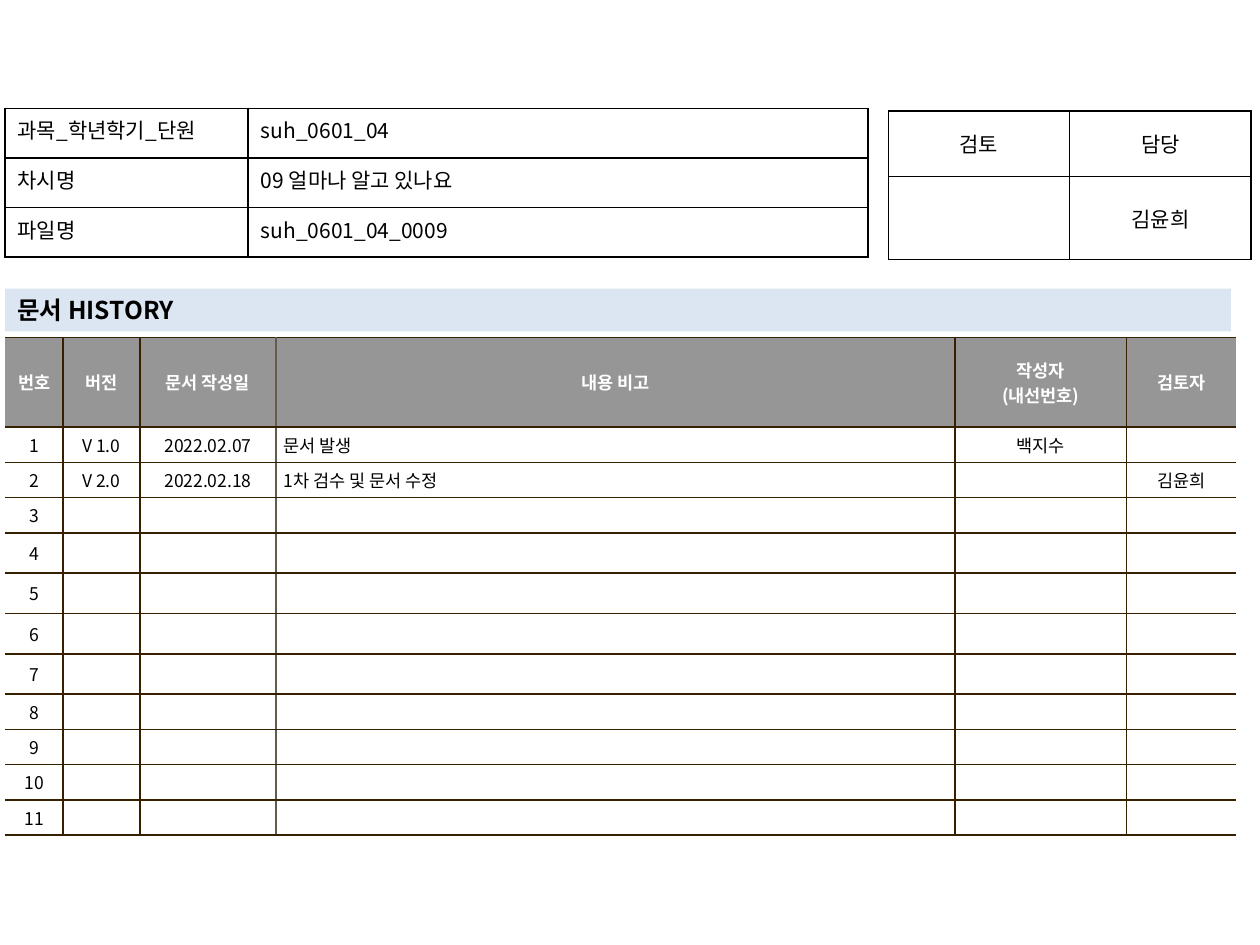
from lxml.etree import SubElement
from pptx import Presentation
from pptx.dml.color import RGBColor
from pptx.enum.shapes import MSO_SHAPE as Shape
from pptx.enum.text import MSO_ANCHOR as Anchor, PP_ALIGN as Align
from pptx.oxml import parse_xml
from pptx.oxml.ns import nsdecls, qn
from pptx.util import Inches, Pt

FONT = "Noto Sans CJK KR"
COLORS = {
    "black": "000000",
    "white": "FFFFFF",
    "header": "969696",
    "title": "DCE6F2",
    "brown": "362000",
    "taupe": "645B4C",
}
UNITS_PER_INCH = 100  # the slide is a grid of 1000 columns by 750 rows

DOCUMENT_ROWS = [
    ("과목_학년학기_단원", "suh_0601_04"),
    ("차시명", "09 얼마나 알고 있나요"),
    ("파일명", "suh_0601_04_0009"),
]
REVIEW_ROWS = [("검토", "담당"), ("", "김윤희")]
HISTORY_HEADER = ("번호", "버전", "문서 작성일", "내용 비고", "작성자\n(내선번호)", "검토자")
HISTORY_ENTRIES = [
    ("V 1.0", "2022.02.07", "문서 발생", "백지수", ""),
    ("V 2.0", "2022.02.18", "1차 검수 및 문서 수정", "", "김윤희"),
]
ENTRY_COUNT = 11
NOTE_COLUMN = 3
TALL_ENTRIES = range(4, 8)


def grid(units):
    return Inches(units / UNITS_PER_INCH)


def rgb(color):
    return RGBColor.from_string(COLORS[color])


def set_attributes(target, values):
    for name, value in values.items():
        setattr(target, name, value)


def format_text(text_frame, size, color="black", bold=False, align=Align.LEFT):
    for paragraph in text_frame.paragraphs:
        paragraph.alignment = align
        for run in paragraph.runs:
            set_attributes(run.font, {"name": FONT, "size": Pt(size), "bold": bold})
            run.font.color.rgb = rgb(color)
            SubElement(run.font._element, qn("a:ea"), typeface=FONT)
        if not paragraph.runs:
            # The size of an empty paragraph sets the least height of its row.
            SubElement(paragraph._p, qn("a:endParaRPr"), sz=str(size * 100))


def set_borders(cell, colors):
    """Draw the left, right, top and bottom edges; None leaves an edge open."""
    properties = cell._tc.get_or_add_tcPr()
    for position, (side, color) in enumerate(zip("LRTB", colors)):
        fill = (f'<a:solidFill><a:srgbClr val="{COLORS[color]}"/></a:solidFill>'
                if color else "<a:noFill/>")
        line = f'<a:ln{side} {nsdecls("a")} w="{Pt(1)}">{fill}</a:ln{side}>'
        properties.insert(position, parse_xml(line))


def add_grid_table(slide, left, top, columns, rows):
    frame = slide.shapes.add_table(len(rows), len(columns), grid(left), grid(top),
                                   grid(sum(columns)), grid(sum(rows)))
    table = frame.table
    set_attributes(table, {"first_row": False, "horz_banding": False})
    for column, width in zip(table.columns, columns):
        column.width = grid(width)
    for row, height in zip(table.rows, rows):
        row.height = grid(height)
    return table


def fill_cell(cell, text, cell_format, text_format, borders, fill=None):
    cell.text = text
    set_attributes(cell, cell_format)
    format_text(cell.text_frame, **text_format)
    if fill:
        cell.fill.solid()
        cell.fill.fore_color.rgb = rgb(fill)
    else:
        cell.fill.background()
    set_borders(cell, borders)


def add_form_table(slide, left, top, columns, rows, content, anchor, aligns):
    table = add_grid_table(slide, left, top, columns, rows)
    for row, texts in enumerate(content):
        for column, text in enumerate(texts):
            fill_cell(table.cell(row, column), text, {"vertical_anchor": anchor},
                      {"size": 12, "align": aligns[column]}, ["black"] * 4)


def add_title_bar(slide, left, top, width, height, text):
    bar = slide.shapes.add_shape(Shape.RECTANGLE, grid(left), grid(top),
                                 grid(width), grid(height))
    bar.shadow.inherit = False
    bar.fill.solid()
    bar.fill.fore_color.rgb = rgb("title")
    bar.line.fill.background()
    bar.text_frame.text = text
    format_text(bar.text_frame, size=14, bold=True)


def history_content():
    blank = ("",) * (len(HISTORY_HEADER) - 1)
    entries = HISTORY_ENTRIES + [blank] * (ENTRY_COUNT - len(HISTORY_ENTRIES))
    return [HISTORY_HEADER] + [(str(number), *entry)
                               for number, entry in enumerate(entries, start=1)]


def add_history_table(slide, left, top, columns):
    rows = [71] + [32 if number in TALL_ENTRIES else 28
                   for number in range(1, ENTRY_COUNT + 1)]
    table = add_grid_table(slide, left, top, columns, rows)
    vertical_lines = [None, "brown", "brown", "taupe", "brown", "brown", None]
    cell_format = {
        "vertical_anchor": Anchor.MIDDLE,
        "margin_left": grid(6), "margin_right": grid(6),
        "margin_top": grid(4), "margin_bottom": grid(4),
    }
    for row, texts in enumerate(history_content()):
        is_header = row == 0
        for column, text in enumerate(texts):
            is_note = column == NOTE_COLUMN and not is_header
            text_format = {
                "size": 12 if row in TALL_ENTRIES and not text else 10,
                "color": "white" if is_header else "black",
                "bold": is_header,
                "align": Align.LEFT if is_note else Align.CENTER,
            }
            borders = vertical_lines[column:column + 2] + ["brown", "brown"]
            fill_cell(table.cell(row, column), text, cell_format, text_format,
                      borders, "header" if is_header else "white")


def main():
    presentation = Presentation()
    set_attributes(presentation, {"slide_width": grid(1000), "slide_height": grid(750)})
    slide = presentation.slides.add_slide(presentation.slide_layouts[6])
    add_history_table(slide, 4, 268, [46, 61, 108, 539, 136, 87])
    add_form_table(slide, 705, 88, [144] * 2, [52, 66], REVIEW_ROWS,
                   Anchor.MIDDLE, [Align.CENTER] * 2)
    add_title_bar(slide, 4, 229, 973, 34, "문서 HISTORY")
    add_form_table(slide, 4, 86, [193, 492], [39.4] * 3, DOCUMENT_ROWS,
                   Anchor.TOP, [Align.JUSTIFY, Align.LEFT])
    presentation.save("out.pptx")


if __name__ == "__main__":
    main()
